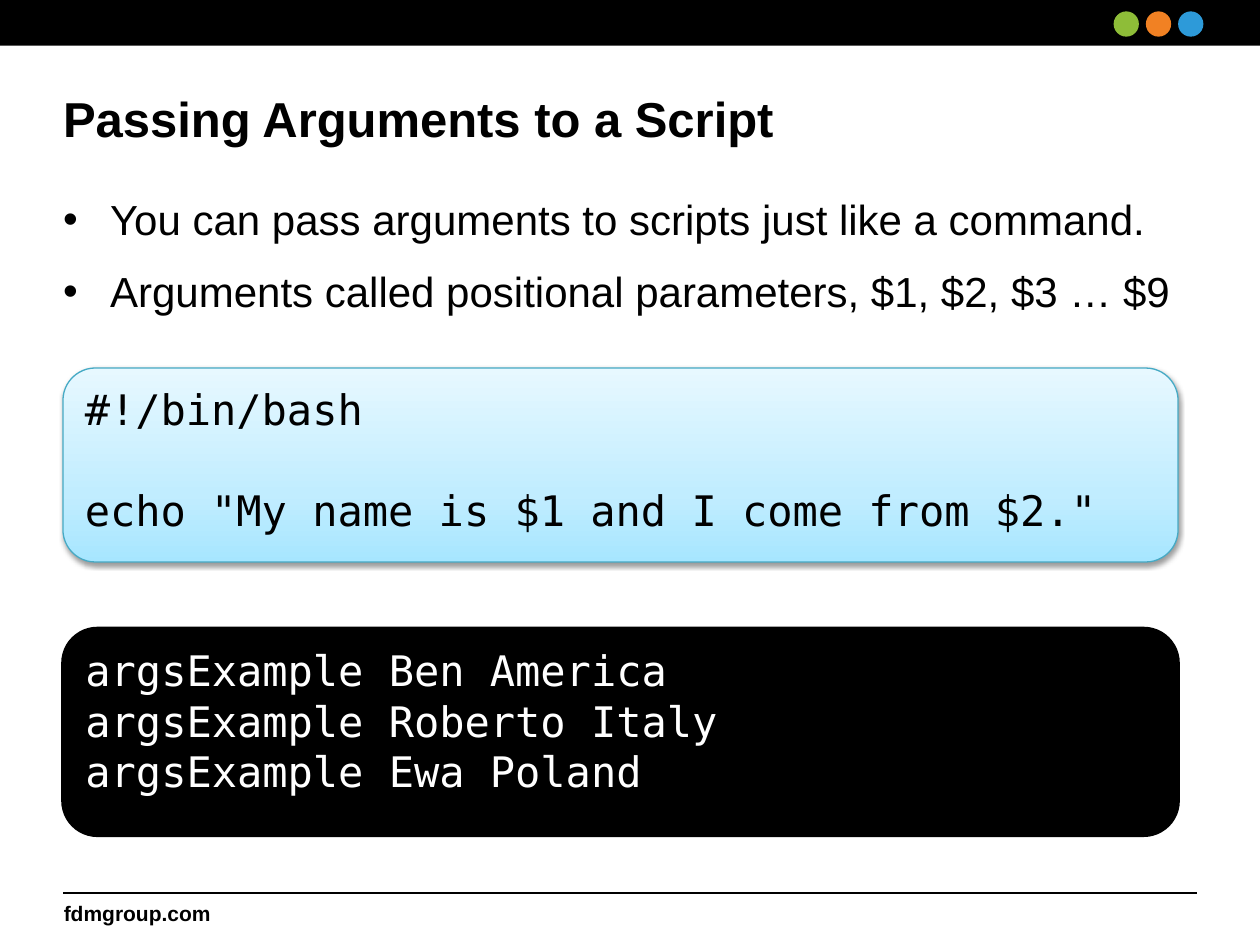
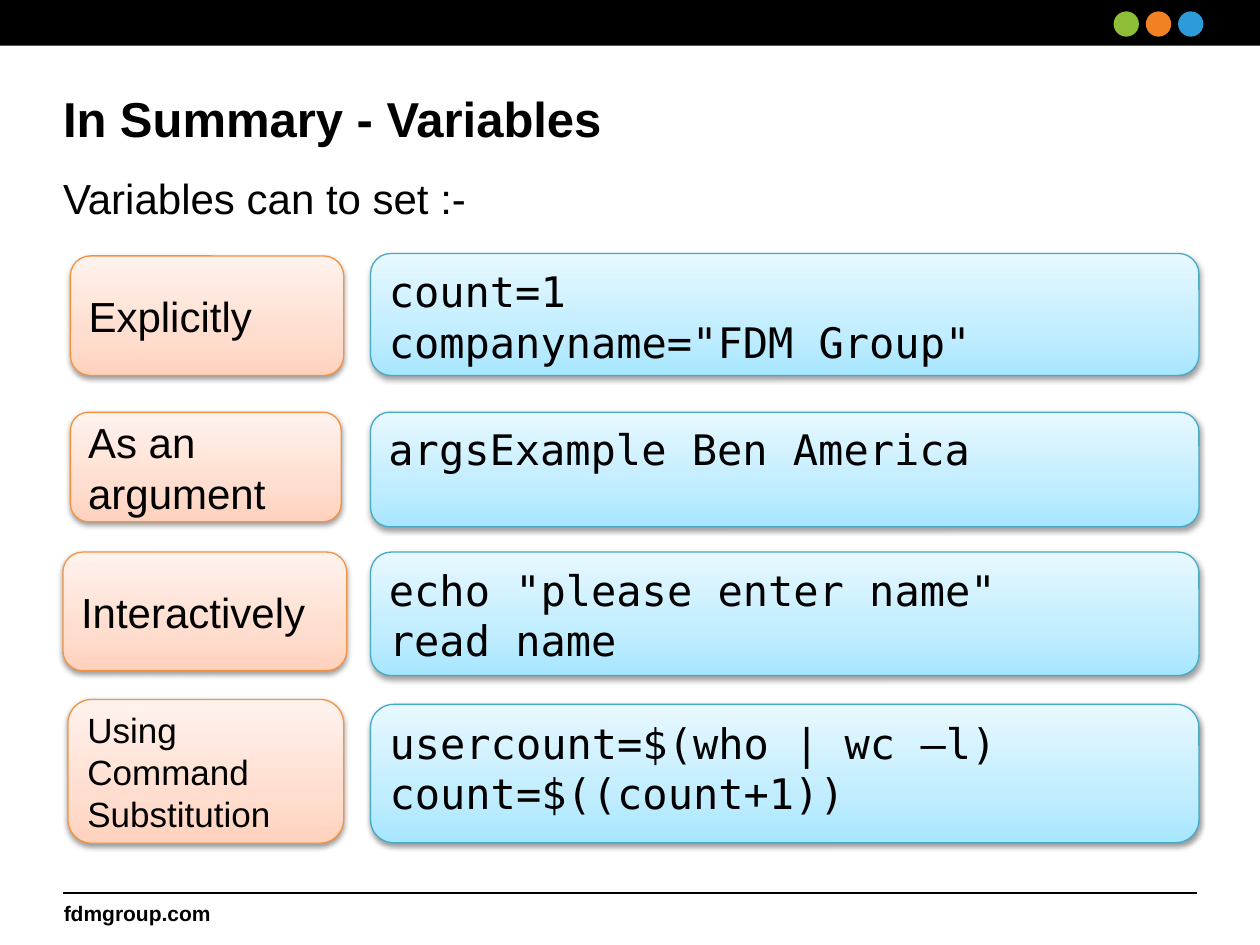
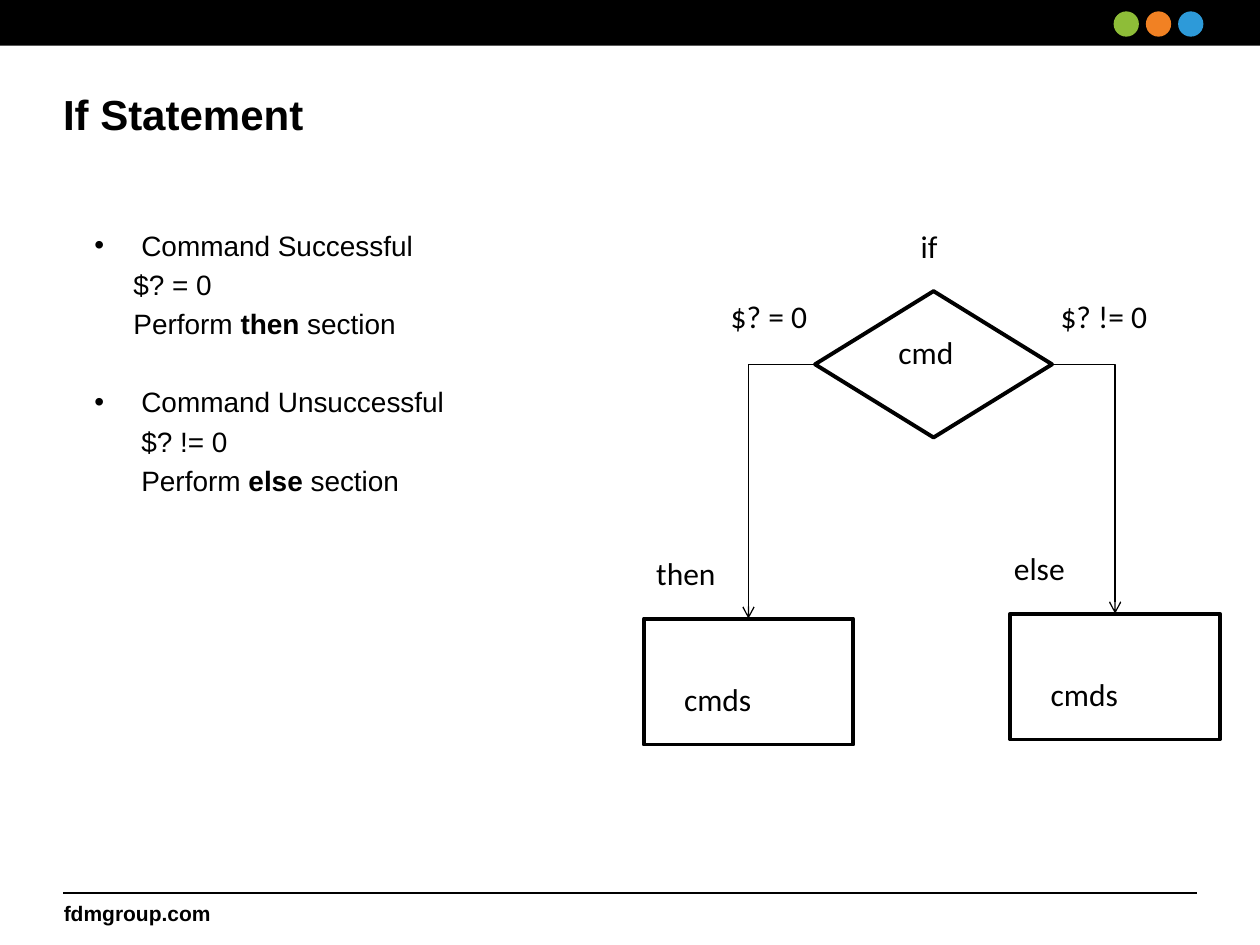
from dataclasses import dataclass

from pptx import Presentation
from pptx.dml.color import RGBColor
from pptx.enum.shapes import MSO_CONNECTOR as LINK, MSO_SHAPE as SHAPE
from pptx.enum.text import MSO_ANCHOR as ANCHOR, MSO_AUTO_SIZE as FIT, PP_ALIGN as ALIGN
from pptx.oxml import parse_xml
from pptx.oxml.ns import nsdecls, qn
from pptx.util import Cm, Pt


@dataclass
class Theme:
    black: str = "000000"
    white: str = "FFFFFF"
    dots: tuple = ("8EBD38", "F18123", "2D9AD9")
    # Line colour, then gradient stops from bottom to top
    blue: tuple = ("46AAC5", "A7E6FF", "C1EDFF", "E7F8FF")
    peach: tuple = ("F69240", "FFD2BD", "FFDED0", "FFF2ED")
    sans: str = "Arial"
    mono: str = "DejaVu Sans Mono"
    chart: str = "Calibri"
    head: int = 28
    text: int = 24
    tag: int = 20
    label: int = 18
    small: int = 16
    foot: int = 12


theme = Theme()


def write(frame, lines, size, font=theme.sans, ink=theme.black, bold=False):
    """Fill a frame; a line is a string or a list of (text, bold) runs."""
    for i, line in enumerate(lines):
        para = frame.paragraphs[0] if i == 0 else frame.add_paragraph()
        para.alignment = ALIGN.LEFT
        for text, heavy in [(line, bold)] if isinstance(line, str) else line:
            run = para.add_run()
            run.text = text
            run.font.name, run.font.size, run.font.bold = font, Pt(size), heavy
            run.font.color.rgb = RGBColor.from_string(ink)


def draw(slide, kind, place, fill=None, line=None, width=0.75):
    """Add a shape; a tuple as fill is a gradient set with a soft shadow."""
    shape = slide.shapes.add_shape(kind, *map(Cm, place))
    shape.shadow.inherit = False
    if isinstance(fill, tuple):
        line, *stops = fill
        shape.fill.gradient()
        props = shape.element.spPr
        marks = "".join(
            f'<a:gs pos="{pos}"><a:srgbClr val="{tone}"/></a:gs>'
            for pos, tone in zip((0, 35000, 100000), stops))
        props.replace(props.find(qn("a:gradFill")), parse_xml(
            f'<a:gradFill {nsdecls("a")} rotWithShape="1"><a:gsLst>{marks}</a:gsLst>'
            '<a:lin ang="16200000" scaled="0"/></a:gradFill>'))
        props.find(qn("a:effectLst")).append(parse_xml(
            f'<a:outerShdw {nsdecls("a")} blurRad="40000" dist="20000" dir="5400000" '
            'rotWithShape="0"><a:srgbClr val="000000"><a:alpha val="38000"/>'
            '</a:srgbClr></a:outerShdw>'))
    elif fill:
        shape.fill.solid()
        shape.fill.fore_color.rgb = RGBColor.from_string(fill)
    else:
        shape.fill.background()
    if line:
        shape.line.color.rgb = RGBColor.from_string(line)
        shape.line.width = Pt(width)
    else:
        shape.line.fill.background()
    return shape


deck = Presentation()
deck.slide_width, deck.slide_height = Cm(25.4), Cm(19.05)
layout = deck.slide_layouts[1]

# Titles and lists: (margin, bullet, space before, space after, runs)
pages = [
    ("Passing Arguments to a Script", theme.head, 1.32, theme.text,
     (1.27, 3.91, 22.86, 12.57), [
         (0.95, True, 0, 6, "You can pass arguments to scripts just like a command."),
         (0.95, True, 6, 6, "Arguments called positional parameters, $1, $2, $3 … $9")]),
    ("In Summary - Variables", theme.head, 1.32, theme.text,
     (1.27, 3.48, 22.96, 14), [
         (0, False, 0, 0, "Variables can to set :-")]),
    ("If Statement", theme.text, 1.14, theme.small,
     (1.9, 4.6, 10.06, 12.32), [
         (0.95, True, 0, 0, "Command Successful"),
         (0.79, False, 3.2, 0, "$? = 0"),
         (0.79, False, 3.2, 0, [("Perform ", False), ("then", True), (" section", False)]),
         (0.95, True, 25.6, 0, "Command Unsuccessful"),
         (0.95, False, 3.2, 0, "$? != 0"),
         (0.95, False, 3.2, 0, [("Perform ", False), ("else", True), (" section", False)])]),
]
slides = []
for name, size, tall, small, place, items in pages:
    slide = deck.slides.add_slide(layout)
    slides.append(slide)
    title, body = slide.placeholders
    spots = (1.27, 1.78, 22.86, tall), place
    for holder, spot in zip((title, body), spots):
        holder.left, holder.top, holder.width, holder.height = map(Cm, spot)
        frame = holder.text_frame
        frame.margin_left = frame.margin_right = frame.margin_top = frame.margin_bottom = 0
        frame.vertical_anchor, frame.auto_size = ANCHOR.TOP, FIT.NONE
        frame.word_wrap = True
    title.text_frame.margin_bottom = Cm(0.13)
    write(title.text_frame, [name], size, bold=True)
    write(body.text_frame, [item[-1] for item in items], small)
    for para, (margin, dot, before, after, _) in zip(body.text_frame.paragraphs, items):
        props = para._p.get_or_add_pPr()
        props.set("marL", str(Cm(margin)))
        props.set("indent", str(-Cm(margin) if dot else 0))
        mark = 'buChar {} char="•"' if dot else "buNone {}"
        props.append(parse_xml(f"<a:{mark.format(nsdecls('a'))}/>"))
        para.space_before, para.space_after = Pt(before), Pt(after)

args, recap, branch = slides

# Shared band, dots, rule and footer, moved to the layout
for holder in list(layout.placeholders)[2:]:
    holder.element.getparent().remove(holder.element)
parts = [draw(args, SHAPE.RECTANGLE, (0, 0, 25.4, 0.92), theme.black)]
for i, tone in enumerate(theme.dots):
    parts.append(draw(args, SHAPE.OVAL, (22.45 + 0.65 * i, 0.23, 0.51, 0.51), tone))
rule = args.shapes.add_connector(LINK.STRAIGHT, Cm(1.27), Cm(18), Cm(24.13), Cm(18))
rule.line.color.rgb = RGBColor.from_string(theme.black)
rule.line.width = Pt(1)
rule.element.spPr.append(parse_xml(f"<a:effectLst {nsdecls('a')}/>"))
foot = args.shapes.add_textbox(Cm(0.97), Cm(18.03), Cm(3.53), Cm(0.76))
foot.text_frame.word_wrap = False
foot.text_frame.vertical_anchor = ANCHOR.MIDDLE
write(foot.text_frame, ["fdmgroup.com"], theme.foot, bold=True)
foot.text_frame.paragraphs[0].alignment = ALIGN.RIGHT
for part in parts + [rule, foot]:
    layout.element.cSld.spTree.append(part.element)

# Slide 1: the script and its calls
code = draw(args, SHAPE.ROUNDED_RECTANGLE, (1.27, 7.42, 22.48, 3.91), theme.blue)
write(code.text_frame, ["#!/bin/bash", 'echo "My name is $1 and I come from $2."'],
      theme.text, theme.mono)
code.text_frame.paragraphs[1].space_before = Pt(28.8)
calls = draw(args, SHAPE.ROUNDED_RECTANGLE, (1.27, 12.67, 22.48, 4.17),
             theme.black, theme.black, 2)
write(calls.text_frame, ["argsExample Ben America", "argsExample Roberto Italy",
                         "argsExample Ewa Poland"], theme.text, theme.mono, theme.white)
for shape in (code, calls):
    shape.text_frame.vertical_anchor = ANCHOR.TOP

# Slide 2: ways to set a variable, each with sample code
ways = [
    ((1.42, 5.16, 5.51, 2.41), theme.text, ["Explicitly"],
     (5.11, 2.46), ["count=1", 'companyname="FDM Group"']),
    ((1.42, 8.31, 5.46, 2.21), theme.text, ["As an argument"],
     (8.31, 2.31), ["argsExample Ben America"]),
    ((1.27, 11.13, 5.72, 2.39), theme.text, ["Interactively"],
     (11.13, 2.49), ['echo "please enter name"', "read name"]),
    ((1.37, 14.1, 5.56, 2.9), theme.tag, ["Using", "Command", "Substitution"],
     (14.2, 2.79), ["usercount=$(who | wc –l)", "count=$((count+1))"]),
]
for place, size, words, (top, tall), sample in ways:
    way = draw(recap, SHAPE.ROUNDED_RECTANGLE, place, theme.peach)
    way.text_frame.vertical_anchor = ANCHOR.MIDDLE
    write(way.text_frame, words, size)
    code = draw(recap, SHAPE.ROUNDED_RECTANGLE, (7.47, top, 16.7, tall), theme.blue)
    code.text_frame.vertical_anchor = ANCHOR.TOP
    write(code.text_frame, sample, theme.text, theme.mono)

# Slide 3: flow chart with two branches
test = draw(branch, SHAPE.DIAMOND, (16.43, 5.87, 4.78, 2.95), None, theme.black, 2.25)
for left, top, side in ((12.98, 12.47, 1), (20.37, 12.37, 3)):
    block = draw(branch, SHAPE.RECTANGLE, (left, top, 4.22, 2.54), None, theme.black, 2.25)
    start = test.left if side == 1 else test.left + test.width
    arrow = branch.shapes.add_connector(
        LINK.ELBOW, start, test.top + test.height // 2,
        block.left + block.width // 2, block.top)
    arrow.begin_connect(test, side)
    arrow.end_connect(block, 0)
    arrow.line.color.rgb = RGBColor.from_string(theme.black)
    arrow.line.width = Pt(0.75)
    props = arrow.element.spPr
    props.find(qn("a:prstGeom")).set("prst", "bentConnector2")
    props.find(qn("a:ln")).append(parse_xml(f'<a:tailEnd {nsdecls("a")} type="arrow"/>'))
    props.append(parse_xml(f"<a:effectLst {nsdecls('a')}/>"))

labels = [
    ("then", 12.98, 11.05, 2.06), ("else", 20.19, 10.95, 2.21),
    ("if", 18.31, 4.45, 0.95), ("cmd", 17.86, 6.58, 1.7),
    ("cmds", 13.54, 13.59, 1.95), ("cmds", 20.93, 13.49, 2.36),
    ("$? != 0", 21.13, 5.87, 2.46), ("$? = 0", 14.48, 5.87, 2.15),
]
for text, left, top, wide in labels:
    label = branch.shapes.add_textbox(Cm(left), Cm(top), Cm(wide), Cm(1.02))
    label.text_frame.word_wrap = True
    write(label.text_frame, [text], theme.label, theme.chart)

deck.save("out.pptx")
